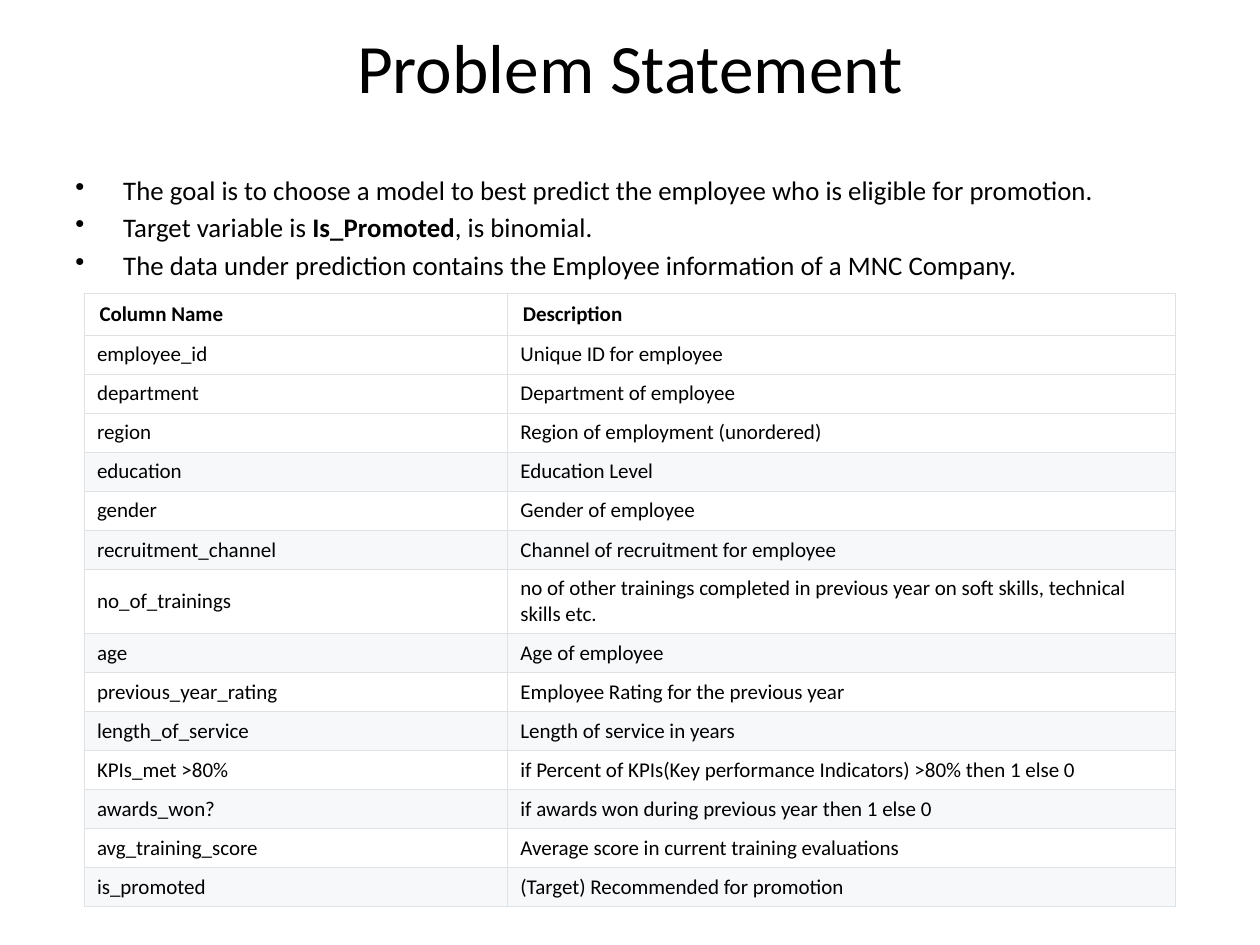
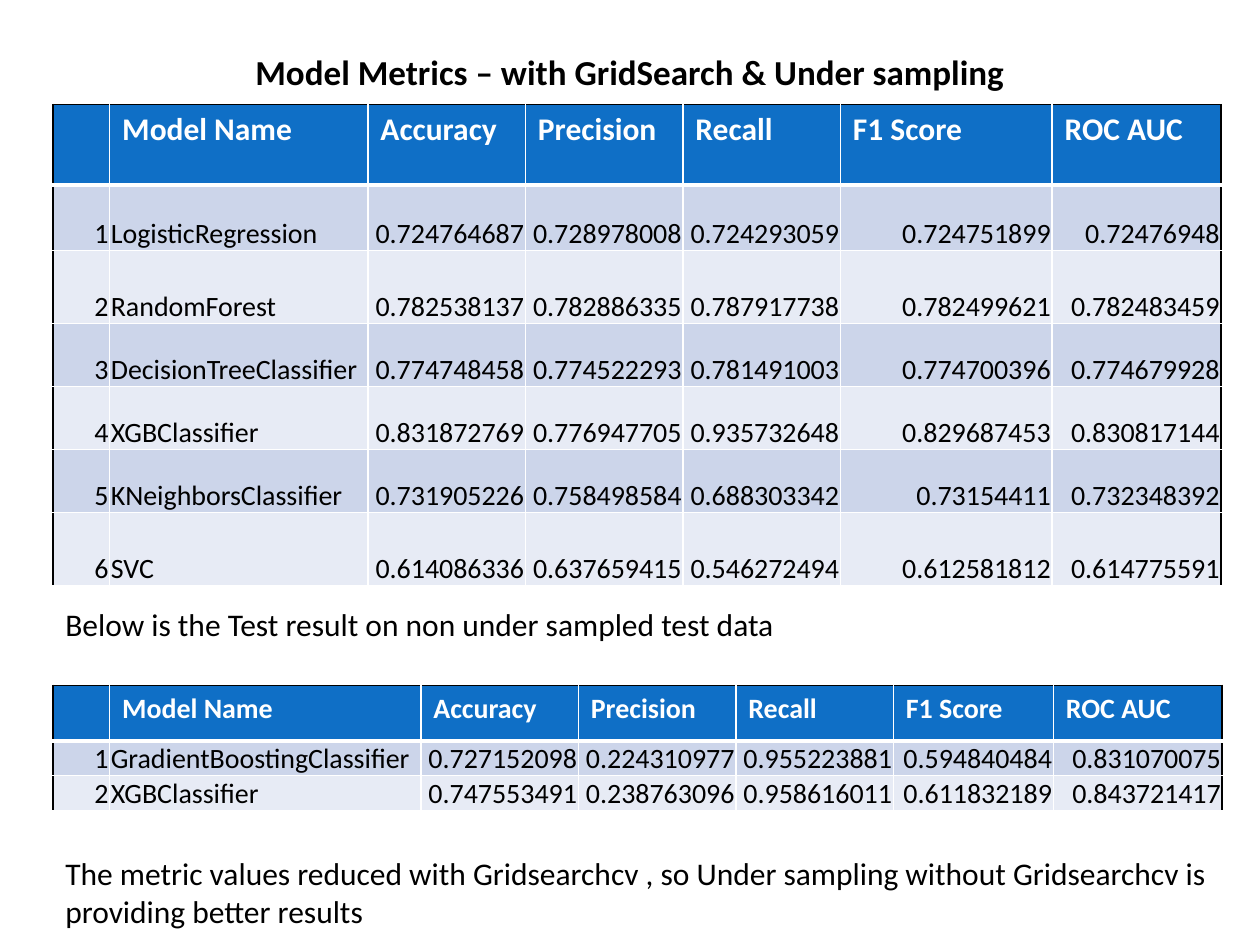
from lxml import etree
from pptx import Presentation
from pptx import util as u
from pptx.dml import color
from pptx.enum import text
from pptx.oxml import ns

FONT = "Calibri"
BLACK, WHITE, BLUE = "000000", "FFFFFF", "0F6FC6"
GREY, PALE = "DFE2E5", "F6F8FA"
BANDS = ("CCD5EA", "E7EBF5")
LEFT, RIGHT, CENTER = text.PP_ALIGN.LEFT, text.PP_ALIGN.RIGHT, text.PP_ALIGN.CENTER
TOP, MIDDLE, BOTTOM = (text.MSO_ANCHOR.TOP, text.MSO_ANCHOR.MIDDLE,
                       text.MSO_ANCHOR.BOTTOM)
ROOMY, WIDE, TIGHT = (0.1, 0.05, 0.1, 0.05), (0.12, 0.05, 0.12, 0.05), (0.01, 0.01, 0.01, 0)

# Content
GOALS = [
    ["The goal is to choose a model to best predict the employee who is eligible for promotion."],
    ["Target variable is ", "Is_Promoted", ", is binomial."],
    ["The data under prediction contains the Employee information of a MNC Company."],
]
FIELDS = [
    ("Column Name", "Description"),
    ("employee_id", "Unique ID for employee"),
    ("department", "Department of employee"),
    ("region", "Region of employment (unordered)"),
    ("education", "Education Level"),
    ("gender", "Gender of employee"),
    ("recruitment_channel", "Channel of recruitment for employee"),
    ("no_of_trainings", "no of other trainings completed in previous year on soft skills, "
                        "technical skills etc."),
    ("age", "Age of employee"),
    ("previous_year_rating", "Employee Rating for the previous year"),
    ("length_of_service", "Length of service in years"),
    ("KPIs_met >80%", "if Percent of KPIs(Key performance Indicators) >80% then 1 else 0"),
    ("awards_won?", "if awards won during previous year then 1 else 0"),
    ("avg_training_score", "Average score in current training evaluations"),
    ("is_promoted", "(Target) Recommended for promotion"),
]
HEADS = ("", "Model Name", "Accuracy", "Precision", "Recall", "F1 Score", "ROC AUC")
TRAIN = [
    ("LogisticRegression", "0.724764687", "0.728978008", "0.724293059", "0.724751899", "0.72476948"),
    ("RandomForest", "0.782538137", "0.782886335", "0.787917738", "0.782499621", "0.782483459"),
    ("DecisionTreeClassifier", "0.774748458", "0.774522293", "0.781491003", "0.774700396",
     "0.774679928"),
    ("XGBClassifier", "0.831872769", "0.776947705", "0.935732648", "0.829687453", "0.830817144"),
    ("KNeighborsClassifier", "0.731905226", "0.758498584", "0.688303342", "0.73154411",
     "0.732348392"),
    ("SVC", "0.614086336", "0.637659415", "0.546272494", "0.612581812", "0.614775591"),
]
TEST = [
    ("GradientBoostingClassifier", "0.727152098", "0.224310977", "0.955223881", "0.594840484",
     "0.831070075"),
    ("XGBClassifier", "0.747553491", "0.238763096", "0.958616011", "0.611832189", "0.843721417"),
]


# Shared helpers
def rgb(code):
    return color.RGBColor.from_string(code)


def style(para, size, bold=False, tone=BLACK, align=LEFT):
    font = para.font
    font.name, font.size, font.bold = FONT, u.Pt(size), bold
    font.color.rgb = rgb(tone)
    para.alignment = align


def add_box(slide, x, y, w, h, anchor=TOP):
    box = slide.shapes.add_textbox(*map(u.Inches, (x, y, w, h)))
    frame = box.text_frame
    frame.word_wrap = True
    frame.vertical_anchor = anchor
    return frame


def add_title(slide, words, h, size, bold=False):
    para = add_box(slide, 0.5, 0.3, 9, h, MIDDLE).paragraphs[0]
    para.text = words
    style(para, size, bold, align=CENTER)


def add_note(slide, words, y, h):
    para = add_box(slide, 0.42, y, 9.35, h).paragraphs[0]
    para.text = words
    style(para, 18)


def add_goals(slide, x, y, w, h):
    frame = add_box(slide, x, y, w, h)
    for i, parts in enumerate(GOALS):
        para = frame.add_paragraph() if i else frame.paragraphs[0]
        for j, part in enumerate(parts):
            run = para.add_run()
            run.text = part
            if j == 1:
                run.font.bold = True
        para.space_before = u.Pt(3)
        style(para, 15.3)
        # Bullet with a hanging indent
        props = para._p.get_or_add_pPr()
        props.set("marL", str(u.Inches(0.38)))
        props.set("indent", str(u.Inches(-0.38)))
        mark = etree.Element(ns.qn("a:buChar"), char="•")
        props.find(ns.qn("a:defRPr")).addprevious(mark)


# Tables
def add_grid(slide, x, y, cols, rows):
    shape = slide.shapes.add_table(len(rows), len(cols), u.Inches(x), u.Inches(y),
                                   u.Inches(sum(cols)), u.Inches(sum(rows)))
    grid = shape.table
    grid.first_row = grid.horz_banding = False
    for col, w in zip(grid.columns, cols):
        col.width = u.Inches(w)
    for row, h in zip(grid.rows, rows):
        row.height = u.Inches(h)
    return grid


def fill_cell(cell, words, fill, anchor, pad, **look):
    cell.fill.solid()
    cell.fill.fore_color.rgb = rgb(fill)
    cell.vertical_anchor = anchor
    (cell.margin_left, cell.margin_top,
     cell.margin_right, cell.margin_bottom) = map(u.Inches, pad)
    para = cell.text_frame.paragraphs[0]
    para.text = words
    style(para, **look)


def edge_cell(cell, left, right, top, bottom):
    """Each edge is a pair of colour and width in points."""
    props = cell._tc.get_or_add_tcPr()
    for i, (side, (tone, width)) in enumerate(zip("LRTB", (left, right, top, bottom))):
        line = etree.Element(ns.qn("a:ln" + side), w=str(u.Pt(width)))
        solid = etree.SubElement(line, ns.qn("a:solidFill"))
        etree.SubElement(solid, ns.qn("a:srgbClr"), val=tone)
        props.insert(i, line)


def add_fields(slide, x, y):
    rows = [0.51 if name == "no_of_trainings" else 0.31 for name, _ in FIELDS]
    rows[0] = 0.33
    grid = add_grid(slide, x, y, [3.36, 5.3], rows)
    for r, row in enumerate(FIELDS):
        fill = PALE if r > 2 and r % 2 == 0 else WHITE
        for c, words in enumerate(row):
            cell = grid.cell(r, c)
            fill_cell(cell, words, fill, MIDDLE, ROOMY if r else WIDE, size=12, bold=r == 0)
            edge_cell(cell, *[(GREY, 0.75)] * 4)


def add_scores(slide, y, cols, rows, scores, size):
    grid = add_grid(slide, 0.42, y, cols, rows)
    lines = [HEADS] + [(str(n), *row) for n, row in enumerate(scores, 1)]
    thin, dark, thick = (WHITE, 1), (BLACK, 1), (WHITE, 3)
    for r, line in enumerate(lines):
        for c, words in enumerate(line):
            cell = grid.cell(r, c)
            if r == 0:
                fill_cell(cell, words, BLUE, TOP, ROOMY, size=size, bold=True, tone=WHITE)
            else:
                fill_cell(cell, words, BANDS[(r - 1) % 2], BOTTOM, TIGHT, size=16,
                          align=LEFT if c == 1 else RIGHT)
            edge_cell(cell, dark if c == 0 else thin,
                      dark if c == len(line) - 1 else thin,
                      (dark, thick)[r] if r < 2 else thin,
                      thin if r else thick)


# Slides
def main():
    deck = Presentation()
    deck.slide_width, deck.slide_height = u.Inches(10), u.Inches(7.5)
    blank = deck.slide_layouts[6]

    # Problem statement
    slide = deck.slides.add_slide(blank)
    add_title(slide, "Problem Statement", 0.45, 39.6)
    add_goals(slide, 0.5, 1.33, 9, 1)
    add_fields(slide, 0.67, 2.33)

    # Model metrics
    slide = deck.slides.add_slide(blank)
    add_title(slide, "Model Metrics – with GridSearch & Under sampling", 0.53, 20, True)
    add_scores(slide, 0.83, [0.45, 2.05, 1.25, 1.25, 1.25, 1.68, 1.34],
               [0.64, 0.52, 0.58, 0.5, 0.5, 0.5, 0.58], TRAIN, 18)
    add_note(slide, "Below is the Test result on non under sampled test data", 4.75, 0.4)
    add_scores(slide, 5.44, [0.45, 2.47, 1.25, 1.25, 1.25, 1.27, 1.34],
               [0.44, 0.27, 0.27], TEST, 16)
    add_note(slide, "The metric values reduced with Gridsearchcv , so Under sampling without "
                    "Gridsearchcv is providing better results", 6.73, 0.71)

    deck.save("out.pptx")


if __name__ == "__main__":
    main()
